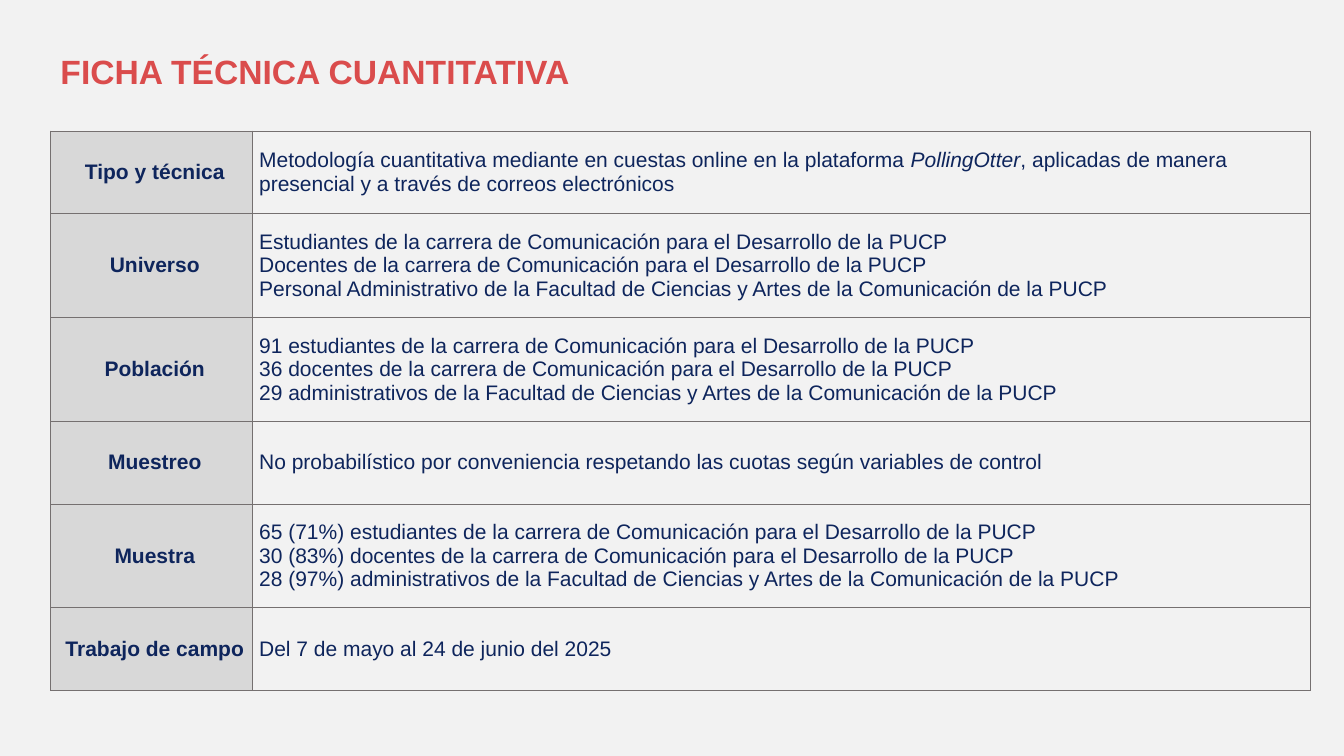
from pptx import Presentation
from pptx.dml.color import RGBColor
from pptx.enum.text import MSO_ANCHOR as Anchor, MSO_AUTO_SIZE as AutoSize, PP_ALIGN as Align
from pptx.oxml import parse_xml
from pptx.oxml.ns import nsdecls
from pptx.util import Emu, Pt

PX = 9144  # 100 px to the inch
BACKGROUND = RGBColor(0xF2, 0xF2, 0xF2)
RED = RGBColor(0xDA, 0x4C, 0x4C)
NAVY = RGBColor(0x0E, 0x25, 0x5C)
LABEL_GREY = RGBColor(0xD8, 0xD8, 0xD8)
BORDER_GREY = RGBColor(0x75, 0x70, 0x70)

TITLE = "FICHA TÉCNICA CUANTITATIVA"
COLUMN_WIDTHS = (200, 1050)
SHORT_ROW, TALL_ROW = 82, 103

# Label and lines of each row; a line is a list of (text, italic) spans
CAREER = "de la carrera de Comunicación para el Desarrollo de la PUCP"
FACULTY = "de la Facultad de Ciencias y Artes de la Comunicación de la PUCP"


def group_lines(students, teachers, staff):
    return [[(f"{students} {CAREER}", False)],
            [(f"{teachers} {CAREER}", False)],
            [(f"{staff} {FACULTY}", False)]]


ROWS = [
    ("Tipo y técnica", [[
        ("Metodología cuantitativa mediante en cuestas online en la plataforma ", False),
        ("PollingOtter", True),
        (", aplicadas de manera presencial y a través de correos electrónicos", False)]]),
    ("Universo", group_lines("Estudiantes", "Docentes", "Personal Administrativo")),
    ("Población", group_lines("91 estudiantes", "36 docentes", "29 administrativos")),
    ("Muestreo", [[("No probabilístico por conveniencia respetando las cuotas "
                    "según variables de control", False)]]),
    ("Muestra", group_lines("65 (71%) estudiantes", "30 (83%) docentes",
                            "28 (97%) administrativos")),
    ("Trabajo de campo", [[("Del 7 de mayo al 24 de junio del 2025", False)]]),
]


def px(length):
    return Emu(length * PX)


class PageBuilder:
    font_name = "Arial"

    def __init__(self, deck):
        self.page = deck.slides.add_slide(deck.slide_layouts[5])
        fill = self.page.background.fill
        fill.solid()
        fill.fore_color.rgb = BACKGROUND

    def style(self, para, size, color, bold):
        font = para.font
        font.name, font.size, font.bold = self.font_name, Pt(size), bold
        font.color.rgb = color

    def title(self, text, left, top, width, height):
        box = self.page.shapes.title
        box.left, box.top, box.width, box.height = map(px, (left, top, width, height))
        frame = box.text_frame
        frame.text = text
        frame.auto_size = AutoSize.NONE
        frame.vertical_anchor = Anchor.BOTTOM
        para = frame.paragraphs[0]
        para.alignment = Align.LEFT
        para.line_spacing = 0.9
        self.style(para, 24, RED, True)

    def table(self, rows, left, top):
        heights = [TALL_ROW if len(lines) > 1 else SHORT_ROW for _, lines in rows]
        table = self.page.shapes.add_table(
            len(rows), len(COLUMN_WIDTHS), px(left), px(top),
            px(sum(COLUMN_WIDTHS)), px(sum(heights))).table
        table.first_row = table.horz_banding = False
        for column, width in zip(table.columns, COLUMN_WIDTHS):
            column.width = px(width)
        for index, (label, lines) in enumerate(rows):
            table.rows[index].height = px(heights[index])
            self.cell(table.cell(index, 0), [[(label, False)]], is_label=True)
            self.cell(table.cell(index, 1), lines, is_label=False)

    def cell(self, cell, lines, is_label):
        cell.margin_left = cell.margin_right = 0
        cell.margin_top = cell.margin_bottom = px(7)
        cell.vertical_anchor = Anchor.MIDDLE
        if is_label:
            cell.fill.solid()
            cell.fill.fore_color.rgb = LABEL_GREY
        else:
            cell.fill.background()
        self.borders(cell)

        para = cell.text_frame.paragraphs[0]
        para.alignment = Align.CENTER if is_label else Align.LEFT
        para.space_before = para.space_after = Pt(5)
        properties = para._p.get_or_add_pPr()
        properties.set("marL", str(px(7)))
        properties.set("indent", "0")
        self.style(para, 15, NAVY, is_label)
        for number, line in enumerate(lines):
            if number:
                para.add_line_break()
            for text, italic in line:
                span = para.add_run()
                span.text = text
                if italic:
                    span.font.italic = True

    def borders(self, cell):
        properties = cell._tc.get_or_add_tcPr()
        for position, side in enumerate("LRTB"):
            properties.insert(position, parse_xml(
                f'<a:ln{side} {nsdecls("a")} w="{Pt(0.5)}"><a:solidFill>'
                f'<a:srgbClr val="{BORDER_GREY}"/></a:solidFill></a:ln{side}>'))


def main():
    deck = Presentation()
    deck.slide_width, deck.slide_height = px(1333), px(750)
    builder = PageBuilder(deck)
    # Heading
    builder.title(TITLE, 50, 23, 1053, 73)
    # Technical sheet
    builder.table(ROWS, 50, 130)
    deck.save("out.pptx")


if __name__ == "__main__":
    main()
